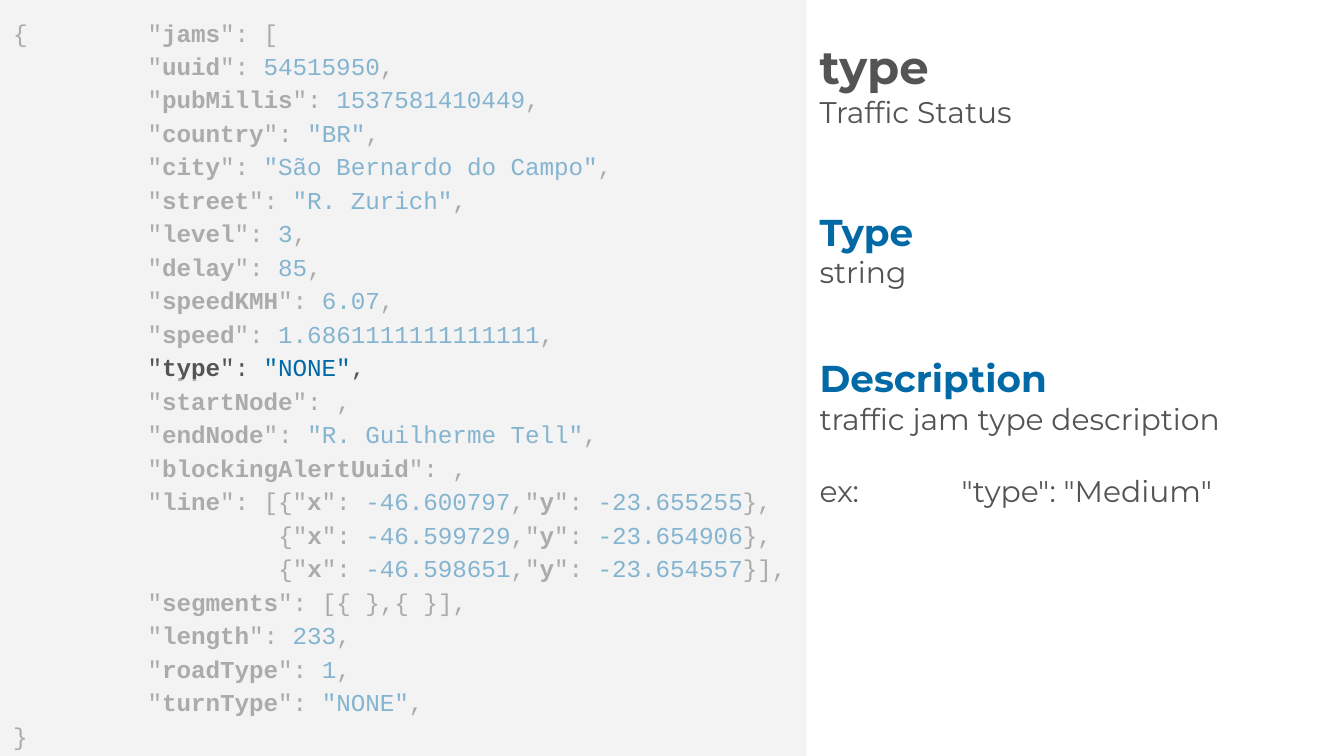
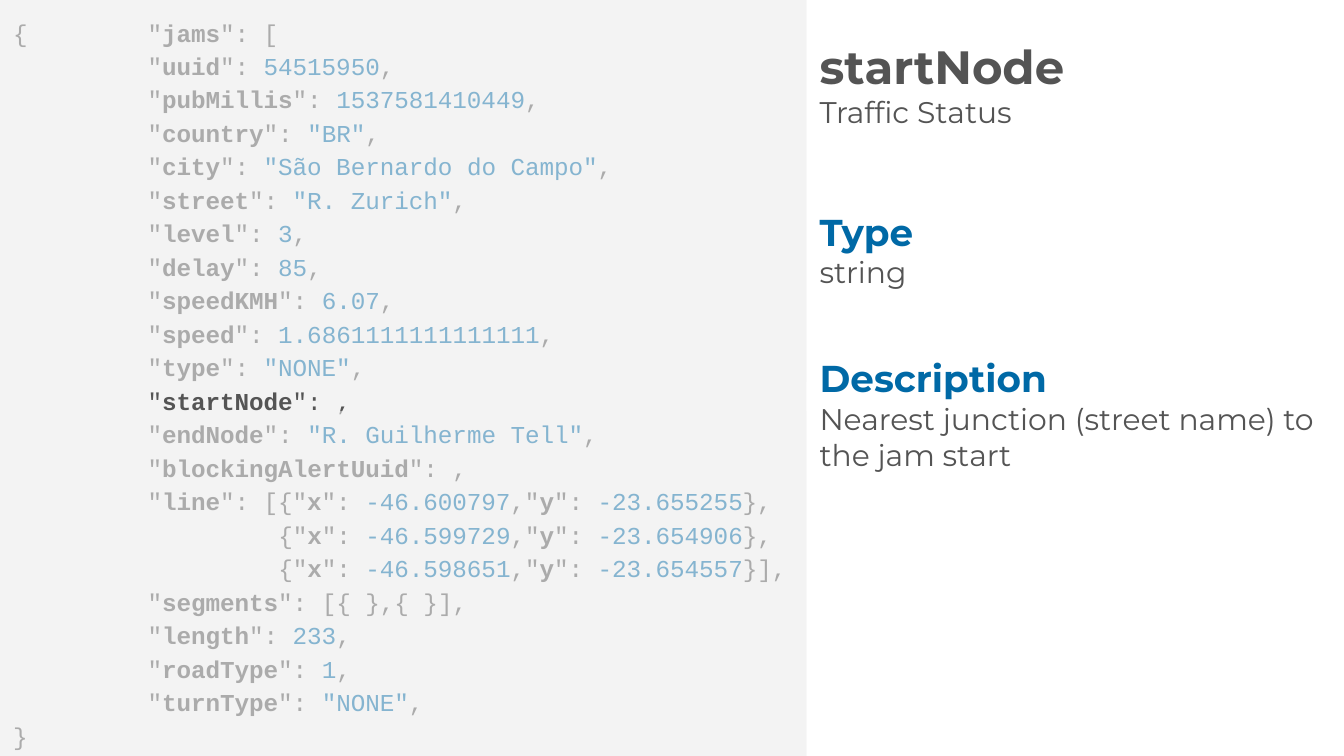
"""Build the traffic jam field reference slides."""
from dataclasses import dataclass
from typing import Iterator

from lxml.etree import SubElement
from pptx import Presentation
from pptx.dml.color import RGBColor
from pptx.enum.shapes import MSO_SHAPE as Shape
from pptx.enum.text import MSO_ANCHOR as Anchor, PP_ALIGN as Align
from pptx.oxml.ns import qn
from pptx.util import Inches, Pt


@dataclass(frozen=True)
class Theme:
    ink: str = "545454"
    accent: str = "0069A6"
    panel: str = "F3F3F3"
    sans: str = "Montserrat"
    mono: str = "Courier New"
    title: float = 25
    heading: float = 20
    body: float = 16
    code: float = 13
    code_spacing: float = 1.15
    veil_alpha: int = 55000


@dataclass(frozen=True)
class Box:
    left: float
    top: float
    width: float
    height: float

    def emu(self) -> list:
        return [Inches(v) for v in (self.left, self.top, self.width, self.height)]


@dataclass(frozen=True)
class Style:
    size: float
    color: str
    font: str
    bold: bool = False


@dataclass(frozen=True)
class Para:
    text: str
    style: Style
    before: float = 0


@dataclass(frozen=True)
class Field:
    name: str
    kind: str
    description: tuple[str, ...]


T = Theme()
TITLE = Style(T.title, T.ink, T.sans, True)
HEADING = Style(T.heading, T.accent, T.sans, True)
BODY = Style(T.body, T.ink, T.sans)
CODE = Style(T.code, T.ink, T.mono)
CODE_KEY = Style(T.code, T.ink, T.mono, True)
CODE_VALUE = Style(T.code, T.accent, T.mono)

SLIDE_W = 10
SLIDE_H = SLIDE_W * 9 / 16
PANEL_W = 6
TAB = 1
FIRST_ROW, ROW_STEP, ROW_GAP = 0.2, 0.24, 0.22
BODY_GAP = 19.5
KEY_MARK, VALUE_MARK = "*", "~"

LISTING = (
    '{\t"*jams*": [',
    '"*uuid*": ~54515950~,',
    '"*pubMillis*": ~1537581410449~,',
    '"*country*": ~"BR"~,',
    '"*city*": ~"São Bernardo do Campo"~,',
    '"*street*": ~"R. Zurich"~,',
    '"*level*": ~3~,',
    '"*delay*": ~85~,',
    '"*speedKMH*": ~6.07~,',
    '"*speed*": ~1.6861111111111111~,',
    '"*type*": ~"NONE"~,',
    '"*startNode*": ,',
    '"*endNode*": ~"R. Guilherme Tell"~,',
    '"*blockingAlertUuid*": ,',
    '"*line*": [{"*x*": ~-46.600797~,"*y*": ~-23.655255~},',
    '         {"*x*": ~-46.599729~,"*y*": ~-23.654906~},',
    '         {"*x*": ~-46.598651~,"*y*": ~-23.654557~}],',
    '"*segments*": [{ },{ }],',
    '"*length*": ~233~,',
    '"*roadType*": ~1~,',
    '"*turnType*": ~"NONE"~,',
    '}',
)

FIELDS = (
    Field("type", "string", ("traffic jam type description", 'ex:\t "type": "Medium"')),
    Field("startNode", "string", ("Nearest junction (street name) to the jam start",)),
)


def add_run(p, text: str, style: Style) -> None:
    r = p.add_run()
    r.text = text
    r.font.size = Pt(style.size)
    r.font.name = style.font
    r.font.bold = style.bold
    r.font.color.rgb = RGBColor.from_string(style.color)


def add_tab_stop(p) -> None:
    tabs = SubElement(p._p.get_or_add_pPr(), qn("a:tabLst"))
    SubElement(tabs, qn("a:tab"), pos=str(Inches(TAB)), algn="l")


def set_frame(tf, anchor: Anchor) -> None:
    tf.word_wrap = True
    tf.vertical_anchor = anchor
    tf.margin_left = tf.margin_right = tf.margin_top = tf.margin_bottom = Inches(0.1)


def add_text(slide, box: Box, paras: list[Para], anchor: Anchor = Anchor.TOP) -> None:
    tf = slide.shapes.add_textbox(*box.emu()).text_frame
    set_frame(tf, anchor)
    for i, para in enumerate(paras):
        p = tf.add_paragraph() if i else tf.paragraphs[0]
        if para.before:
            p.space_before = Pt(para.before)
        if "\t" in para.text:
            add_tab_stop(p)
        add_run(p, para.text, para.style)


def add_panel(slide, box: Box):
    sp = slide.shapes.add_shape(Shape.RECTANGLE, *box.emu())
    sp.shadow.inherit = False
    sp.fill.solid()
    sp.fill.fore_color.rgb = RGBColor.from_string(T.panel)
    sp.line.fill.background()
    return sp


def add_veil(slide, box: Box) -> None:
    sp = add_panel(slide, box)
    color = sp._element.spPr.find(qn("a:solidFill"))[0]
    SubElement(color, qn("a:alpha"), val=str(T.veil_alpha))


def code_runs(line: str) -> Iterator[tuple[str, Style]]:
    for i, part in enumerate(line.split(KEY_MARK)):
        if i % 2:
            yield part, CODE_KEY
            continue
        for j, piece in enumerate(part.split(VALUE_MARK)):
            if piece:
                yield piece, CODE_VALUE if j % 2 else CODE


def add_listing(slide) -> None:
    tf = add_panel(slide, Box(0, 0, PANEL_W, SLIDE_H)).text_frame
    set_frame(tf, Anchor.TOP)
    for i, line in enumerate(LISTING):
        p = tf.add_paragraph() if i else tf.paragraphs[0]
        p.alignment = Align.LEFT
        p.line_spacing = T.code_spacing
        if "\t" in line:
            add_tab_stop(p)
        if line[0] not in "{}":
            p._p.get_or_add_pPr().set("marL", str(Inches(TAB)))
        for text, style in code_runs(line):
            add_run(p, text, style)


def add_details(slide, field: Field) -> None:
    add_text(slide, Box(PANEL_W, 0.16, 4, 0.92),
             [Para(field.name, TITLE), Para("Traffic Status", BODY)], Anchor.MIDDLE)
    description = [Para(text, BODY, BODY_GAP if i else 0)
                   for i, text in enumerate(field.description)]
    add_text(slide, Box(PANEL_W, 1.46, 1.93, 0.5), [Para("Type", HEADING)])
    add_text(slide, Box(PANEL_W, 1.79, 3.6, 0.87), [Para(field.kind, BODY)])
    add_text(slide, Box(PANEL_W, 2.88, 4, 2.63), description)
    add_text(slide, Box(PANEL_W, 2.54, 1.93, 0.5), [Para("Description", HEADING)])


def add_spotlight(slide, name: str) -> None:
    key = f"{KEY_MARK}{name}{KEY_MARK}"
    row = next(i for i, line in enumerate(LISTING) if key in line)
    top = FIRST_ROW + row * ROW_STEP
    bottom = top + ROW_GAP
    add_veil(slide, Box(0, bottom, PANEL_W, SLIDE_H - bottom))
    add_veil(slide, Box(0, 0, PANEL_W, top))


def main() -> None:
    prs = Presentation()
    prs.slide_width, prs.slide_height = Inches(SLIDE_W), Inches(SLIDE_H)
    for field in FIELDS:
        slide = prs.slides.add_slide(prs.slide_layouts[6])
        add_listing(slide)
        add_details(slide, field)
        add_spotlight(slide, field.name)
    prs.save("out.pptx")


if __name__ == "__main__":
    main()
